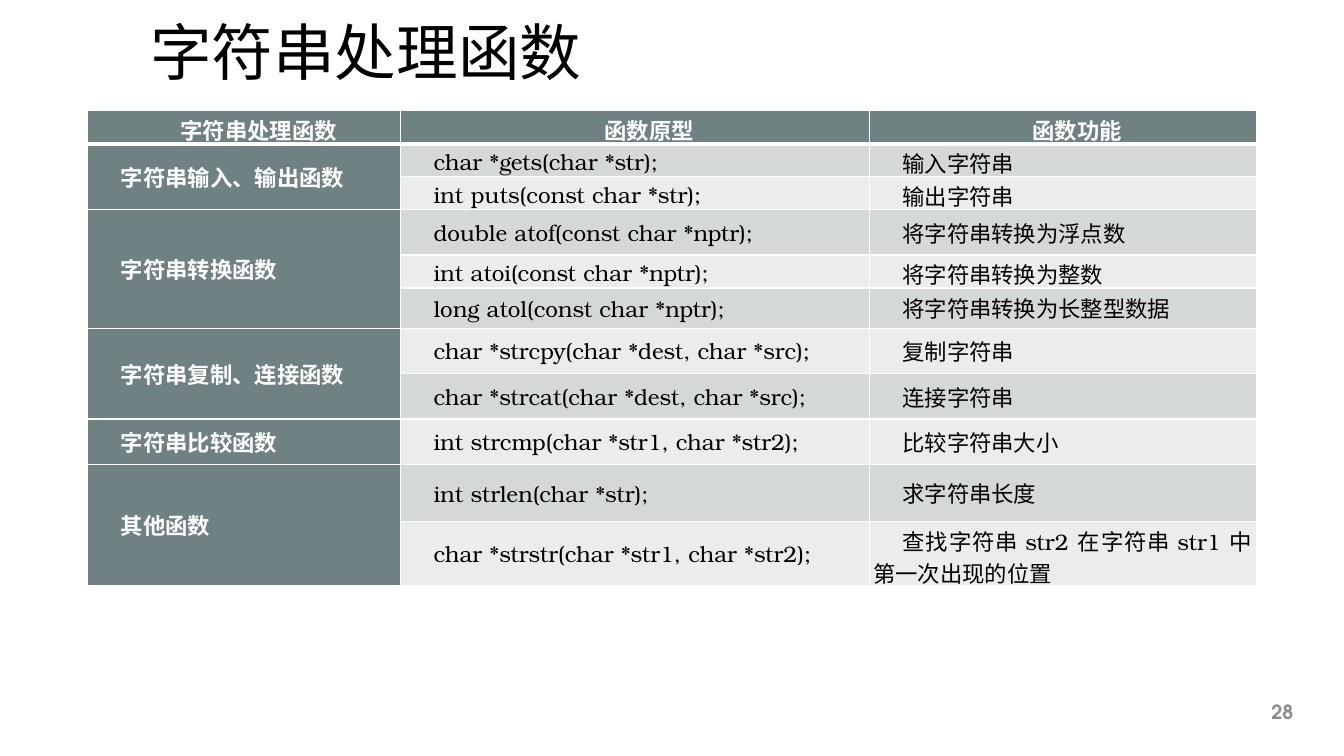
from lxml import etree
from pptx import Presentation
from pptx.dml.color import RGBColor
from pptx.enum.shapes import MSO_SHAPE
from pptx.enum.text import MSO_ANCHOR, PP_ALIGN
from pptx.oxml.ns import qn
from pptx.util import Inches, Pt

OVAL = MSO_SHAPE.OVAL
MIDDLE, TOP = MSO_ANCHOR.MIDDLE, MSO_ANCHOR.TOP
LEFT, CENTER, JUSTIFY = PP_ALIGN.LEFT, PP_ALIGN.CENTER, PP_ALIGN.JUSTIFY

TITLE = "字符串处理函数"
PAGE_NUMBER = "28"
HEADERS = ("字符串处理函数", "函数原型", "函数功能")
GROUPS = [
    ("字符串输入、输出函数", [
        ("char *gets(char *str); ", "输入字符串", 0.26),
        ("int puts(const char *str); ", "输出字符串", 0.26),
    ]),
    ("字符串转换函数", [
        ("double atof(const char *nptr); ", "将字符串转换为浮点数 ", 0.45),
        ("int atoi(const char *nptr); ", "将字符串转换为整数 ", 0.26),
        ("long atol(const char *nptr); ", "将字符串转换为长整型数据 ", 0.4),
    ]),
    ("字符串复制、连接函数", [
        ("char *strcpy(char *dest, char *src); ", "复制字符串 ", 0.45),
        ("char *strcat(char *dest, char *src); ", "连接字符串 ", 0.45),
    ]),
    ("字符串比较函数", [
        ("int strcmp(char *str1, char *str2); ", "比较字符串大小 ", 0.45),
    ]),
    ("其他函数", [
        ("int strlen(char *str); ", "求字符串长度", 0.57),
        ("char *strstr(char *str1, char *str2); ", "查找字符串 str2 在字符串 str1 中第一次出现的位置", 0.63),
    ]),
]
COLUMN_WIDTHS = (3.1, 4.65, 3.84)
HEADER_HEIGHT = 0.26
TABLE_LEFT, TABLE_TOP = 0.87, 1.1
DARK, BANDS, WHITE, BLACK, GRAY = "6F8183", ("EBEDED", "D5D8D9"), "FFFFFF", "000000", "8C8C8C"
HEADING_FONT, TABLE_FONT = "TeX Gyre Adventor", "TeX Gyre Bonum"
CELL_FORMAT = {
    "margin_left": Inches(0.04), "margin_right": Inches(0.04),
    "margin_top": Inches(0.03), "margin_bottom": Inches(0.03),
    "vertical_anchor": MIDDLE,
}


def color(value):
    return RGBColor.from_string(value)


def apply_format(target, values):
    for name, value in values.items():
        setattr(target, name, value)


def write_text(paragraph, text, alignment, font, size, text_color, bold=False):
    paragraph.alignment = alignment
    run = paragraph.add_run()
    run.text = text
    apply_format(run.font, {"name": font, "size": Pt(size), "bold": bold})
    run.font.color.rgb = color(text_color)


def add_text_box(slide, position, anchor, *text_format):
    frame = slide.shapes.add_textbox(*map(Inches, position)).text_frame
    apply_format(frame, {"word_wrap": True, "vertical_anchor": anchor})
    write_text(frame.paragraphs[0], *text_format)
    return frame.paragraphs[0]


def add_number_ring(slide):
    ring = slide.shapes.add_shape(OVAL, *map(Inches, (12.5, 6.84, 0.44, 0.44)))
    ring.shadow.inherit = False
    ring.fill.background()
    ring.line.color.rgb = color(WHITE)
    ring.line.width = Pt(1)


def set_borders(cell, widths):
    properties = cell._tc.get_or_add_tcPr()
    for index, (side, width) in enumerate(widths.items()):
        line = etree.Element(qn(f"a:ln{side}"), w=str(Pt(width)))
        fill = etree.SubElement(line, qn("a:solidFill"))
        etree.SubElement(fill, qn("a:srgbClr"), val=WHITE)
        properties.insert(index, line)


def fill_cell(cell, text, row, fill, alignment, text_color, bold):
    apply_format(cell, CELL_FORMAT)
    cell.fill.solid()
    cell.fill.fore_color.rgb = color(fill)
    set_borders(cell, {"L": 1, "R": 1, "T": 3 if row == 1 else 1, "B": 3 if row == 0 else 1})
    paragraph = cell.text_frame.paragraphs[0]
    write_text(paragraph, text, alignment, TABLE_FONT, 16, text_color, bold)
    paragraph_properties = paragraph._p.get_or_add_pPr()
    paragraph_properties.set("marL", "0")
    paragraph_properties.set("indent", str(Inches(0.29)))


def add_function_table(slide):
    heights = [HEADER_HEIGHT] + [entry[2] for _, entries in GROUPS for entry in entries]
    table = slide.shapes.add_table(
        len(heights), len(COLUMN_WIDTHS), Inches(TABLE_LEFT), Inches(TABLE_TOP),
        Inches(sum(COLUMN_WIDTHS)), Inches(sum(heights))).table
    for column, width in zip(table.columns, COLUMN_WIDTHS):
        column.width = Inches(width)
    for table_row, height in zip(table.rows, heights):
        table_row.height = Inches(height)
    for column, header in enumerate(HEADERS):
        fill_cell(table.cell(0, column), header, 0, DARK, CENTER, WHITE, True)
    row = 1
    for group, entries in GROUPS:
        first = row
        for prototype, purpose, _ in entries:
            label = group if row == first else ""
            fill_cell(table.cell(row, 0), label, row, DARK, JUSTIFY, WHITE, True)
            for column, text in enumerate((prototype, purpose), 1):
                fill_cell(table.cell(row, column), text, row, BANDS[row % 2], JUSTIFY, BLACK, False)
            row += 1
        if len(entries) > 1:
            table.cell(first, 0).merge(table.cell(row - 1, 0))


def main():
    presentation = Presentation()
    apply_format(presentation, {"slide_width": Inches(13.33), "slide_height": Inches(7.5)})
    slide = presentation.slides.add_slide(presentation.slide_layouts[6])
    add_number_ring(slide)
    add_text_box(slide, (12.37, 6.86, 0.7, 0.4), MIDDLE,
                 PAGE_NUMBER, CENTER, HEADING_FONT, 14, GRAY, True)
    title = add_text_box(slide, (1.39, 0.17, 9.11, 0.92), TOP,
                         TITLE, LEFT, HEADING_FONT, 44, BLACK)
    title.line_spacing = 0.9
    add_function_table(slide)
    presentation.save("out.pptx")


if __name__ == "__main__":
    main()
